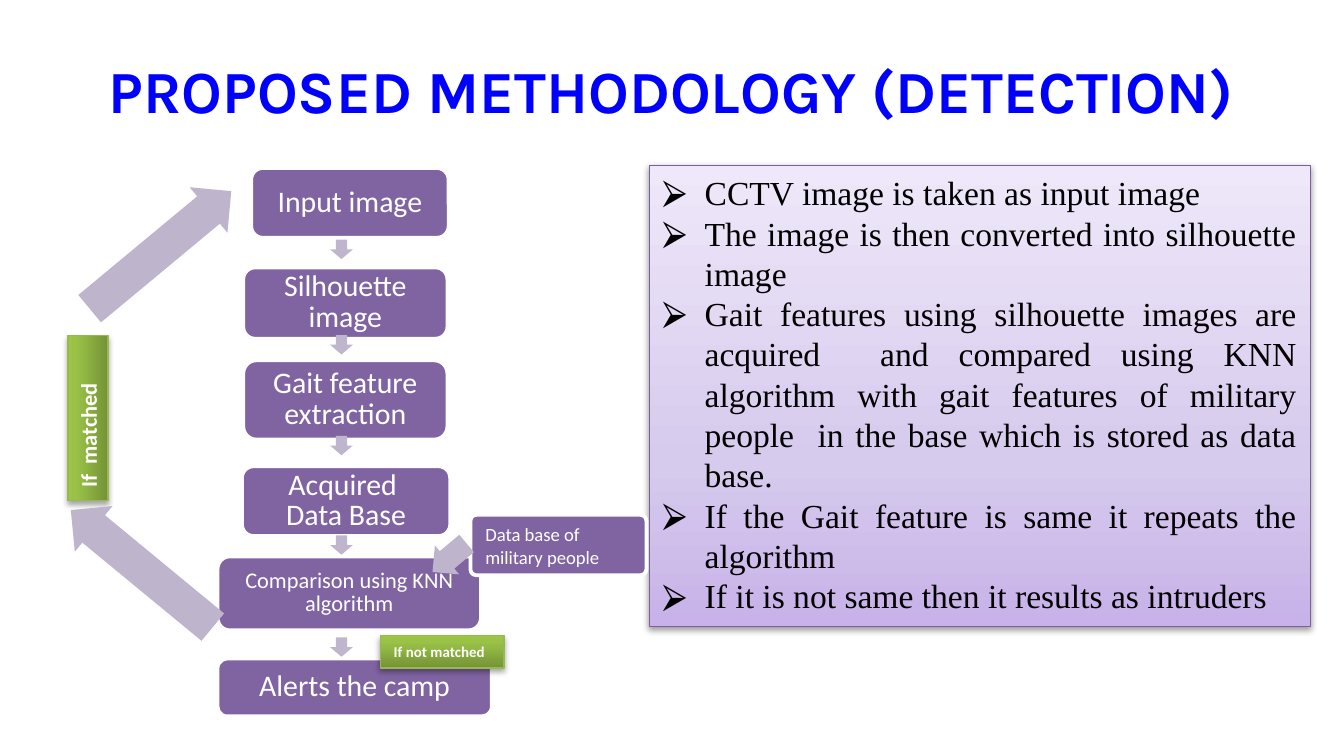
from copy import deepcopy
from typing import NamedTuple

from lxml import etree
from pptx import Presentation
from pptx import util as u
from pptx.dml.color import RGBColor
from pptx.enum import shapes, text
from pptx.oxml import ns

Pt = u.Pt
BLUE = RGBColor(0x00, 0x00, 0xFF)
BLACK = RGBColor(0x00, 0x00, 0x00)
WHITE = RGBColor(0xFF, 0xFF, 0xFF)
PURPLE = RGBColor(0x80, 0x64, 0xA2)
PANEL_EDGE = RGBColor(0x7C, 0x5F, 0x9F)
LABEL_EDGE = RGBColor(0x97, 0xB8, 0x53)
STEP_ARROW = RGBColor(0xBF, 0xB6, 0xCD)
LOOP_ARROW = RGBColor(0xBE, 0xB5, 0xCD)
LILAC = [(0, RGBColor(0xC8, 0xB2, 0xE9)), (0.35, RGBColor(0xD6, 0xCA, 0xED)),
         (1, RGBColor(0xEF, 0xE8, 0xFA))]
GREEN = [(0, RGBColor(0x75, 0x93, 0x36)), (0.8, RGBColor(0x99, 0xC2, 0x47)),
         (1, RGBColor(0x9B, 0xC5, 0x45))]
AXIS_X = 182.9


class Box(NamedTuple):
    label: str
    x: float
    y: float
    w: float
    h: float
    size: float = 16
    radius: float = 0.167
    align: text.PP_ALIGN = text.PP_ALIGN.CENTER
    anchor: text.MSO_ANCHOR = text.MSO_ANCHOR.MIDDLE
    spacing: float = 0.85


class Arrow(NamedTuple):
    cx: float
    cy: float
    w: float
    h: float
    angle: float
    shaft: float = 0.6
    color: RGBColor = LOOP_ARROW


class Label(NamedTuple):
    label: str
    x: float
    y: float
    w: float
    h: float
    size: float
    angle: float = 0


STEPS = [
    Box("Input image", 134.6, 90, 105.8, 37.4),
    Box("Silhouette image", 130.3, 143.3, 109.4, 38.2),
    Box("Gait feature extraction", 130.3, 193, 109.4, 42.5),
    Box("Acquired  Data Base", 129.6, 249.8, 111.6, 37.4),
    Box("Comparison using KNN algorithm", 116.6, 298.1, 141.1, 39.6, 12),
    Box("Alerts the camp", 116.6, 352.8, 146.9, 31),
]
STEP_ARROW_Y = [133.6, 184.7, 238.7, 292, 346.7]
DATABASE = Box("Data base of military people", 252, 275.8, 94.3, 32.4, 10, 0.1,
               text.PP_ALIGN.LEFT, text.MSO_ANCHOR.TOP, 1)
DATABASE_ARROW = Arrow(240.8, 298.8, 23.8, 20.2, 140.1)
LOOP_ARROWS = [Arrow(76, 304.6, 98.6, 31.7, 219.5),
               Arrow(86, 133.9, 98.6, 31.7, 320.3)]
LABELS = [Label("If not matched", 203.8, 340.6, 66.2, 17.3, 8),
          Label("If  matched", 2.9, 213.1, 88.6, 21.6, 12, 270)]
POINTS = [
    "CCTV image is taken as input image",
    "The image is then converted into silhouette image",
    "Gait features using silhouette images are acquired  and compared using KNN "
    "algorithm with gait features of military people  in the base which is stored "
    "as data base.",
    "If the Gait feature is same it repeats the algorithm",
    "If it is not same then it results as intruders",
]


def place(sp, x: float, y: float, w: float, h: float) -> None:
    sp.left, sp.top, sp.width, sp.height = Pt(x), Pt(y), Pt(w), Pt(h)


def add_run(p, words: str, font: str, size: float, color: RGBColor,
            bold: bool = False) -> None:
    r = p.add_run()
    r.text = words
    r.font.name = font
    r.font.size = Pt(size)
    r.font.bold = bold
    r.font.color.rgb = color


def add_solid(s, kind, x: float, y: float, w: float, h: float, color: RGBColor):
    sp = s.shapes.add_shape(kind, Pt(x), Pt(y), Pt(w), Pt(h))
    sp.fill.solid()
    sp.fill.fore_color.rgb = color
    sp.shadow.inherit = False
    return sp


def fill_gradient(sp, stops: list) -> None:
    sp.fill.gradient()
    sp.fill.gradient_angle = 90
    gs_list = sp._element.spPr.find(".//" + ns.qn("a:gsLst"))
    gs_list.append(deepcopy(gs_list[0]))
    for stop, (position, color) in zip(sp.fill.gradient_stops, stops):
        stop.position = position
        stop.color.rgb = color


def style_raised(sp, stops: list, edge: RGBColor, distance: float, alpha: int) -> None:
    fill_gradient(sp, stops)
    sp.line.color.rgb = edge
    sp.line.width = Pt(0.75)
    sp.shadow.inherit = False
    effects = sp._element.spPr.find(ns.qn("a:effectLst"))
    shadow = etree.SubElement(effects, ns.qn("a:outerShdw"), blurRad=str(Pt(3.1)),
                              dist=str(Pt(distance)), dir="5400000", rotWithShape="0")
    color = etree.SubElement(shadow, ns.qn("a:srgbClr"), val=str(BLACK))
    etree.SubElement(color, ns.qn("a:alpha"), val=str(alpha * 1000))


def add_box(s, box: Box) -> None:
    sp = add_solid(s, shapes.MSO_SHAPE.ROUNDED_RECTANGLE, box.x, box.y, box.w, box.h,
                   PURPLE)
    sp.adjustments[0] = box.radius
    sp.line.color.rgb = WHITE
    sp.line.width = Pt(2)
    tf = sp.text_frame
    tf.word_wrap = True
    tf.vertical_anchor = box.anchor
    p = tf.paragraphs[0]
    p.alignment = box.align
    p.line_spacing = box.spacing
    add_run(p, box.label, "Calibri", box.size, WHITE)


def add_arrow(s, arrow: Arrow) -> None:
    sp = add_solid(s, shapes.MSO_SHAPE.RIGHT_ARROW, arrow.cx - arrow.w / 2,
                   arrow.cy - arrow.h / 2, arrow.w, arrow.h, arrow.color)
    sp.adjustments[0] = arrow.shaft
    sp.adjustments[1] = 0.5
    sp.line.fill.background()
    sp.rotation = arrow.angle


def add_label(s, label: Label) -> None:
    sp = s.shapes.add_shape(shapes.MSO_SHAPE.RECTANGLE, Pt(label.x), Pt(label.y),
                            Pt(label.w), Pt(label.h))
    style_raised(sp, GREEN, LABEL_EDGE, 1.8, 35)
    sp.rotation = label.angle
    tf = sp.text_frame
    tf.word_wrap = True
    tf.vertical_anchor = text.MSO_ANCHOR.TOP
    p = tf.paragraphs[0]
    p.alignment = text.PP_ALIGN.LEFT
    add_run(p, label.label, "Calibri", label.size, WHITE, bold=True)


def fill_title(sp) -> None:
    place(sp, 36, 14.4, 648, 67.7)
    tf = sp.text_frame
    tf.auto_size = text.MSO_AUTO_SIZE.NONE
    tf.vertical_anchor = text.MSO_ANCHOR.MIDDLE
    p = tf.paragraphs[0]
    p.alignment = text.PP_ALIGN.CENTER
    add_run(p, "PROPOSED METHODOLOGY (DETECTION)", "Karla", 32, BLUE, bold=True)


def fill_panel(sp) -> None:
    place(sp, 347.8, 88.6, 354.2, 247)
    style_raised(sp, LILAC, PANEL_EDGE, 1.6, 38)
    tf = sp.text_frame
    tf.auto_size = text.MSO_AUTO_SIZE.NONE
    tf.vertical_anchor = text.MSO_ANCHOR.TOP
    for i, point in enumerate(POINTS):
        p = tf.add_paragraph() if i else tf.paragraphs[0]
        p.alignment = text.PP_ALIGN.JUSTIFY
        p.space_before = Pt(0)
        props = p._p.get_or_add_pPr()
        props.set("marL", str(Pt(22.5)))
        props.set("indent", str(-Pt(22.5)))
        bullet_color = etree.SubElement(props, ns.qn("a:buClr"))
        etree.SubElement(bullet_color, ns.qn("a:srgbClr"), val=str(BLACK))
        etree.SubElement(props, ns.qn("a:buChar"), char="⮚")
        add_run(p, point, "Times New Roman", 18, BLACK)


def main() -> None:
    prs = Presentation()
    prs.slide_width, prs.slide_height = Pt(720), Pt(405)
    s = prs.slides.add_slide(prs.slide_layouts[1])
    fill_title(s.shapes.title)
    fill_panel(s.placeholders[1])
    for i, step in enumerate(STEPS):
        add_box(s, step)
        if i < len(STEP_ARROW_Y):
            add_arrow(s, Arrow(AXIS_X, STEP_ARROW_Y[i], 10.4, 12.2, 90, 0.5, STEP_ARROW))
    add_box(s, DATABASE)
    add_arrow(s, DATABASE_ARROW)
    for label in LABELS:
        add_label(s, label)
    for arrow in LOOP_ARROWS:
        add_arrow(s, arrow)
    prs.save("out.pptx")


if __name__ == "__main__":
    main()
